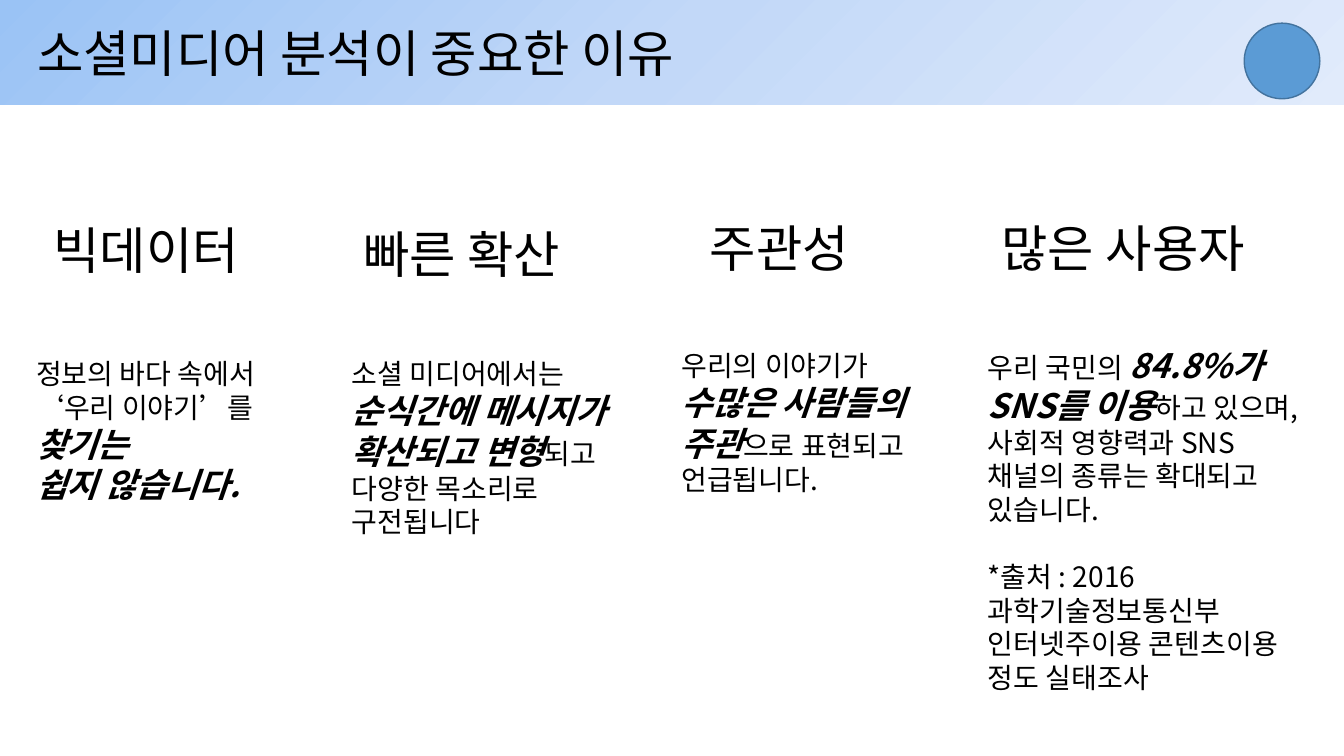
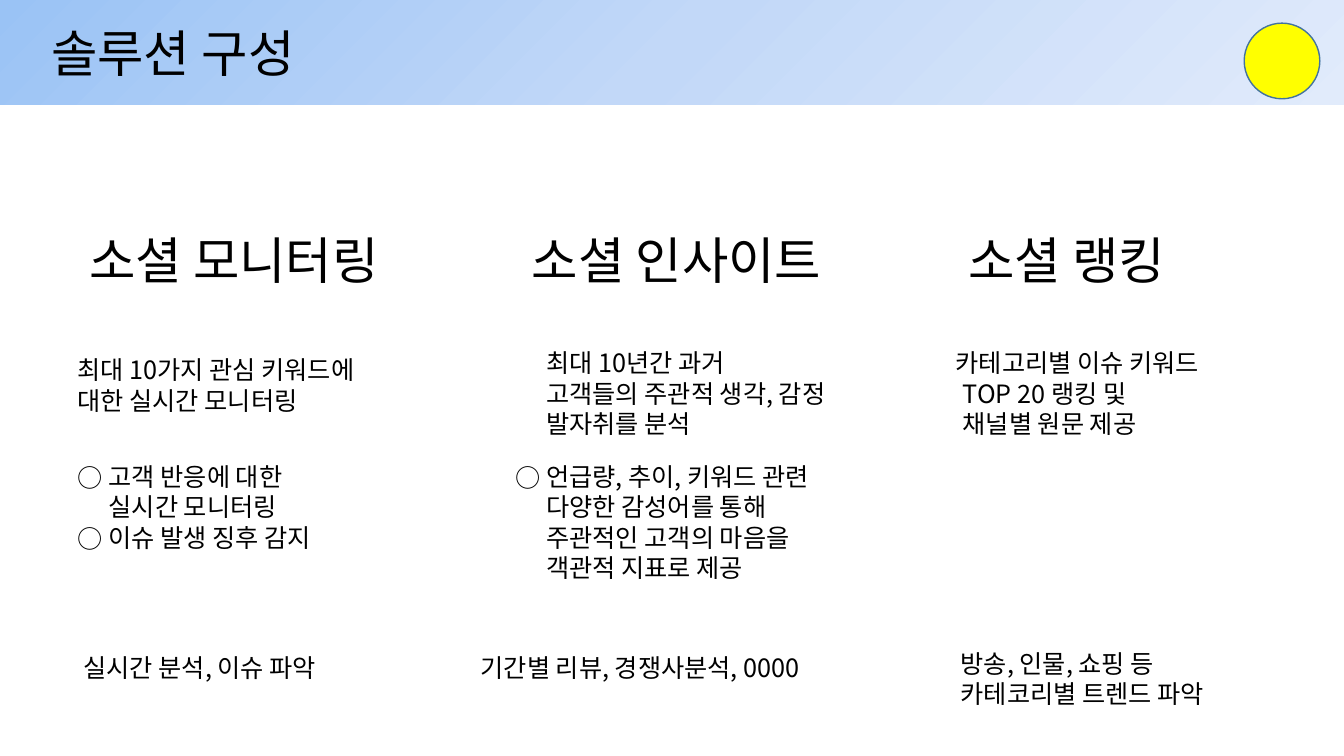
from lxml.etree import SubElement
from pptx import Presentation
from pptx.dml.color import RGBColor
from pptx.enum.shapes import MSO_SHAPE as Shape
from pptx.enum.text import PP_ALIGN as Align
from pptx.oxml.ns import qn
from pptx.util import Inches, Pt

# Shared style
FONT = "Noto Sans CJK KR"
TEXT_COLOR = "000000"
BAND_STOPS = [(0, "9AC3F5"), (50, "C2D8F8"), (100, "E1EBFB")]
DISC_LINE = "43739E"
TITLE_SIZE, BODY_SIZE, STRONG_SIZE, DETAIL_SIZE = 36, 20, 24, 18
LINE_FACTOR = 1.2
BULLET = "○"
BULLET_INDENT = 0.31

# Slide 1: heading centre and top, body left, top and width, body lines;
# ** encloses emphasis, and a tuple opens a new block of lines.
REASONS = [
    ("빅데이터", 1.45, 2.12, 0.26, 3.49, 3.1,
     ["정보의 바다 속에서", "‘우리 이야기’를", "**찾기는**", "**쉽지 않습니다.**"]),
    ("빠른 확산", 4.58, 2.16, 3.39, 3.49, 3.2,
     ["소셜 미디어에서는", "**순식간에 메시지가**", "**확산되고 변형**되고",
      "다양한 목소리로", "구전됩니다"]),
    ("주관성", 7.73, 2.1, 6.66, 3.41, 3.0,
     ["우리의 이야기가", "**수많은 사람들의**", "**주관**으로 표현되고", "언급됩니다."]),
    ("많은 사용자", 11.14, 2.1, 9.7, 3.37, 3.6,
     ["우리 국민의 **84.8%가**", "**SNS를 이용**하고 있으며,", "사회적 영향력과 SNS",
      "채널의 종류는 확대되고", "있습니다.", ("*출처 : 2016",),
      "과학기술정보통신부", "인터넷주이용 콘텐츠이용", "정도 실태조사"]),
]

# Slide 2: headings by centre, details by left, top and hanging indent
SOLUTIONS = [("소셜 모니터링", 2.32), ("소셜 인사이트", 6.71), ("소셜 랭킹", 10.58)]
DETAILS = [
    (0.67, 3.47, 0, ["최대 10가지 관심 키워드에\n대한 실시간 모니터링"]),
    (5.32, 3.4, 0, ["최대 10년간 과거\n고객들의 주관적 생각, 감정\n발자취를 분석"]),
    (9.38, 3.4, 0.07, ["카테고리별 이슈 키워드\nTOP 20 랭킹 및\n채널별 원문 제공"]),
    (0.73, 6.42, 0, ["실시간 분석, 이슈 파악"]),
    (4.67, 6.42, 0, ["기간별 리뷰, 경쟁사분석, 0000"]),
    (9.43, 6.38, 0, ["방송, 인물, 쇼핑 등\n카테코리별 트렌드 파악"]),
]
BULLET_LISTS = [
    (0.67, 4.53, ["고객 반응에 대한\n실시간 모니터링", "이슈 발생 징후 감지"]),
    (5.01, 4.53, ["언급량, 추이, 키워드 관련\n다양한 감성어를 통해\n"
                  "주관적인 고객의 마음을\n객관적 지표로 제공"]),
]


def color(value):
    return RGBColor.from_string(value)


def add_span(para, text, size, strong=False):
    """Add text to a paragraph, with a line break at each newline."""
    for index, line in enumerate(text.split("\n")):
        if index:
            para.add_line_break()
        span = para.add_run()
        span.text = line
        look = {"name": FONT, "size": Pt(size), "bold": strong, "italic": strong}
        for name, value in look.items():
            setattr(span.font, name, value)
        span.font.color.rgb = color(TEXT_COLOR)
        SubElement(span.font._element, qn("a:ea"), typeface=FONT)


def set_hanging(para, indent, bullet=False):
    properties = para._p.get_or_add_pPr()
    properties.set("marL", str(Inches(indent)))
    properties.set("indent", str(-Inches(indent)))
    if bullet:
        SubElement(properties, qn("a:buFont"), typeface=FONT)
        SubElement(properties, qn("a:buChar"), char=BULLET)


def add_text(page, left, top, width, lines, size, align=Align.LEFT, hanging=0, bullet=False):
    height = sum(1 + line.count("\n") for line in map(str, lines)) * size * LINE_FACTOR / 72 + 0.1
    box = page.shapes.add_textbox(Inches(left), Inches(top), Inches(width), Inches(height))
    box.text_frame.word_wrap = True
    for index, line in enumerate(lines):
        para = box.text_frame.add_paragraph() if index else box.text_frame.paragraphs[0]
        new_block = isinstance(line, tuple)
        parts = (line[0] if new_block else line).split("**")
        line_size = STRONG_SIZE if len(parts) > 1 else size
        layout = {"alignment": align, "line_spacing": Pt(line_size * LINE_FACTOR),
                  "space_before": Pt(size * LINE_FACTOR if new_block else 0)}
        for name, value in layout.items():
            setattr(para, name, value)
        if hanging:
            set_hanging(para, hanging, bullet)
        for number, part in enumerate(parts):
            if part:
                strong = number % 2 == 1
                add_span(para, part, STRONG_SIZE if strong else size, strong)


def add_heading(page, text, center, top):
    width = 4
    add_text(page, center - width / 2, top, width, [text], TITLE_SIZE, Align.CENTER)


def add_band(page, width):
    band = page.shapes.add_shape(Shape.RECTANGLE, 0, 0, width, Inches(1.04))
    band.shadow.inherit = False
    band.line.fill.background()
    band.fill.gradient()
    band.fill.gradient_angle = 315
    stop_list = band._element.spPr.find(qn("a:gradFill")).find(qn("a:gsLst"))
    for stop in list(stop_list):
        stop_list.remove(stop)
    for position, value in BAND_STOPS:
        stop = SubElement(stop_list, qn("a:gs"), pos=str(position * 1000))
        SubElement(stop, qn("a:srgbClr"), val=value)


def add_disc(page, fill):
    disc = page.shapes.add_shape(
        Shape.OVAL, Inches(12.34), Inches(0.23), Inches(0.75), Inches(0.75))
    disc.shadow.inherit = False
    disc.fill.solid()
    disc.fill.fore_color.rgb = color(fill)
    disc.line.color.rgb = color(DISC_LINE)
    disc.line.width = Pt(1)


def add_page(deck, title, title_left, disc_fill):
    page = deck.slides.add_slide(deck.slide_layouts[6])
    add_band(page, deck.slide_width)
    add_text(page, title_left, 0.17, 8, [title], TITLE_SIZE)
    add_disc(page, disc_fill)
    return page


def add_reasons_page(deck):
    page = add_page(deck, "소셜미디어 분석이 중요한 이유", 0.27, "5B9BD5")
    for heading, center, heading_top, left, top, width, lines in REASONS:
        add_heading(page, heading, center, heading_top)
        add_text(page, left, top, width, lines, BODY_SIZE)


def add_solutions_page(deck):
    page = add_page(deck, "솔루션 구성", 0.41, "FFFF00")
    for heading, center in SOLUTIONS:
        add_heading(page, heading, center, 2.22)
    for left, top, hanging, lines in DETAILS:
        add_text(page, left, top, 3.8, lines, DETAIL_SIZE, hanging=hanging)
    for left, top, items in BULLET_LISTS:
        add_text(page, left, top, 3.8, items, DETAIL_SIZE,
                 hanging=BULLET_INDENT, bullet=True)


def main():
    deck = Presentation()
    deck.slide_width, deck.slide_height = Inches(13.33), Inches(7.5)
    add_reasons_page(deck)
    add_solutions_page(deck)
    deck.save("out.pptx")


if __name__ == "__main__":
    main()
